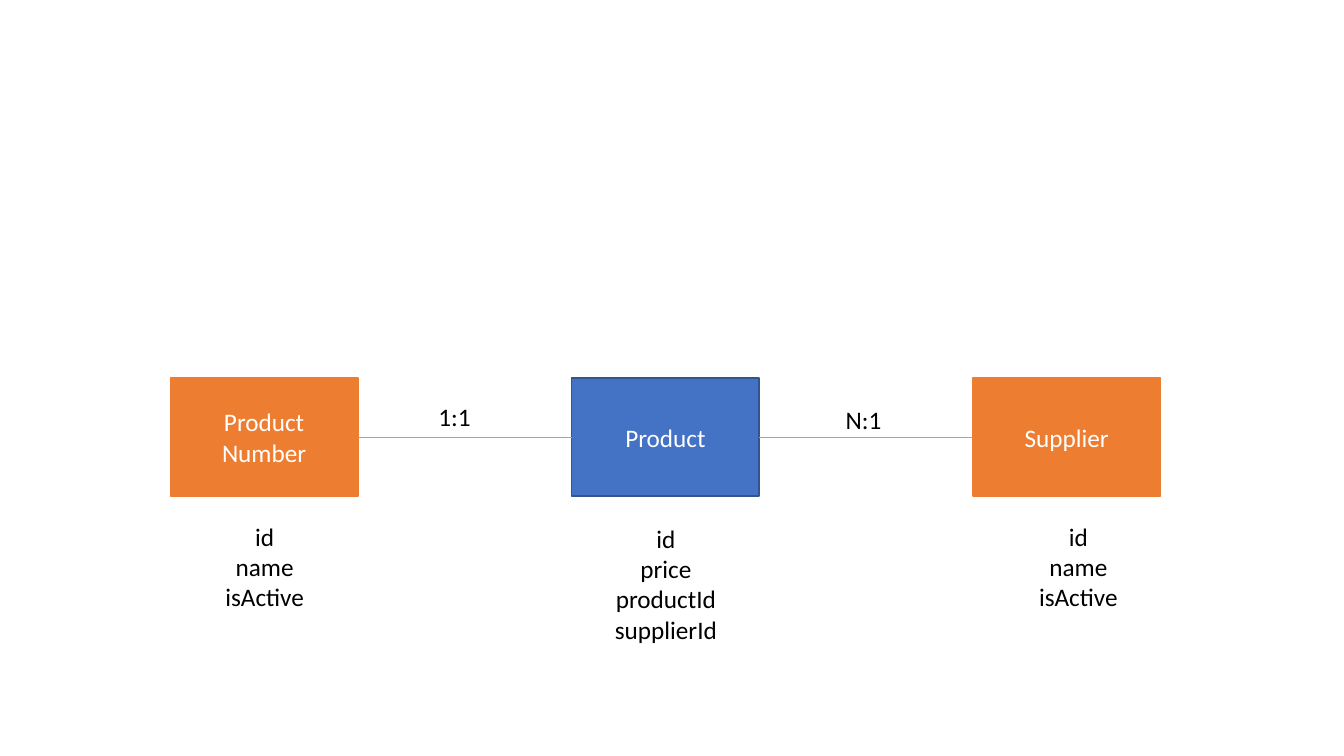
from pptx import Presentation
from pptx.dml.color import RGBColor
from pptx.enum.shapes import MSO_CONNECTOR, MSO_SHAPE
from pptx.enum.text import MSO_ANCHOR, MSO_AUTO_SIZE, PP_ALIGN
from pptx.oxml.ns import qn
from pptx.util import Inches, Pt
from lxml import etree

ORANGE = RGBColor(0xED, 0x7D, 0x31)
BLUE = RGBColor(0x44, 0x72, 0xC4)
DARK_BLUE = RGBColor(0x32, 0x54, 0x91)
GREY = RGBColor(0xA5, 0xA5, 0xA5)
WHITE = RGBColor(0xFF, 0xFF, 0xFF)
BLACK = RGBColor(0, 0, 0)

BOX_LEFT, BOX_TOP, BOX_WIDTH, BOX_HEIGHT = 1.69, 3.75, 1.86, 1.17
BOX_STEP = 3.98

presentation = Presentation()
presentation.slide_width = Inches(13.33)
presentation.slide_height = Inches(7.5)
slide = presentation.slides.add_slide(presentation.slide_layouts[6])


def write_lines(text_frame, lines, color, alignment):
    text_frame.text = "\n".join(lines)
    for paragraph in text_frame.paragraphs:
        paragraph.alignment = alignment
        paragraph.font.name = "Calibri"
        paragraph.font.size = Pt(18)
        paragraph.font.color.rgb = color


def add_label(left, top, width, height, lines, alignment):
    label = slide.shapes.add_textbox(
        Inches(left), Inches(top), Inches(width), Inches(height))
    label.text_frame.word_wrap = False
    label.text_frame.auto_size = MSO_AUTO_SIZE.SHAPE_TO_FIT_TEXT
    write_lines(label.text_frame, lines, BLACK, alignment)


# Entity boxes
entities = [
    ("Product Number", ORANGE, ORANGE),
    ("Product", BLUE, DARK_BLUE),
    ("Supplier", ORANGE, ORANGE),
]
for index, (name, fill_color, line_color) in enumerate(entities):
    box = slide.shapes.add_shape(
        MSO_SHAPE.RECTANGLE, Inches(BOX_LEFT + index * BOX_STEP),
        Inches(BOX_TOP), Inches(BOX_WIDTH), Inches(BOX_HEIGHT))
    box.shadow.inherit = False
    box.fill.solid()
    box.fill.fore_color.rgb = fill_color
    box.line.color.rgb = line_color
    box.line.width = Pt(1)
    box.text_frame.word_wrap = True
    box.text_frame.vertical_anchor = MSO_ANCHOR.MIDDLE
    write_lines(box.text_frame, [name], WHITE, PP_ALIGN.CENTER)

# Relations between neighbouring boxes
line_y = Inches(BOX_TOP + BOX_HEIGHT / 2)
for index in range(len(entities) - 1):
    start = BOX_LEFT + index * BOX_STEP + BOX_WIDTH
    end = BOX_LEFT + (index + 1) * BOX_STEP
    relation = slide.shapes.add_connector(
        MSO_CONNECTOR.STRAIGHT, Inches(start), line_y, Inches(end), line_y)
    relation.line.color.rgb = GREY
    relation.line.width = Pt(0.5)
    etree.SubElement(relation._element.spPr, qn("a:effectLst"))

# Attributes below the boxes
add_label(2.13, 5.12, 0.99, 1.01, ["id", "name", "isActive"], PP_ALIGN.CENTER)
add_label(5.99, 5.14, 1.23, 1.31,
          ["id", "price", "productId", "supplierId"], PP_ALIGN.CENTER)
add_label(10.2, 5.12, 0.99, 1.01, ["id", "name", "isActive"], PP_ALIGN.CENTER)

# Cardinalities above the lines
add_label(4.25, 3.93, 0.53, 0.4, ["1:1"], PP_ALIGN.LEFT)
add_label(8.29, 3.96, 0.56, 0.4, ["N:1"], PP_ALIGN.LEFT)

presentation.save("out.pptx")
